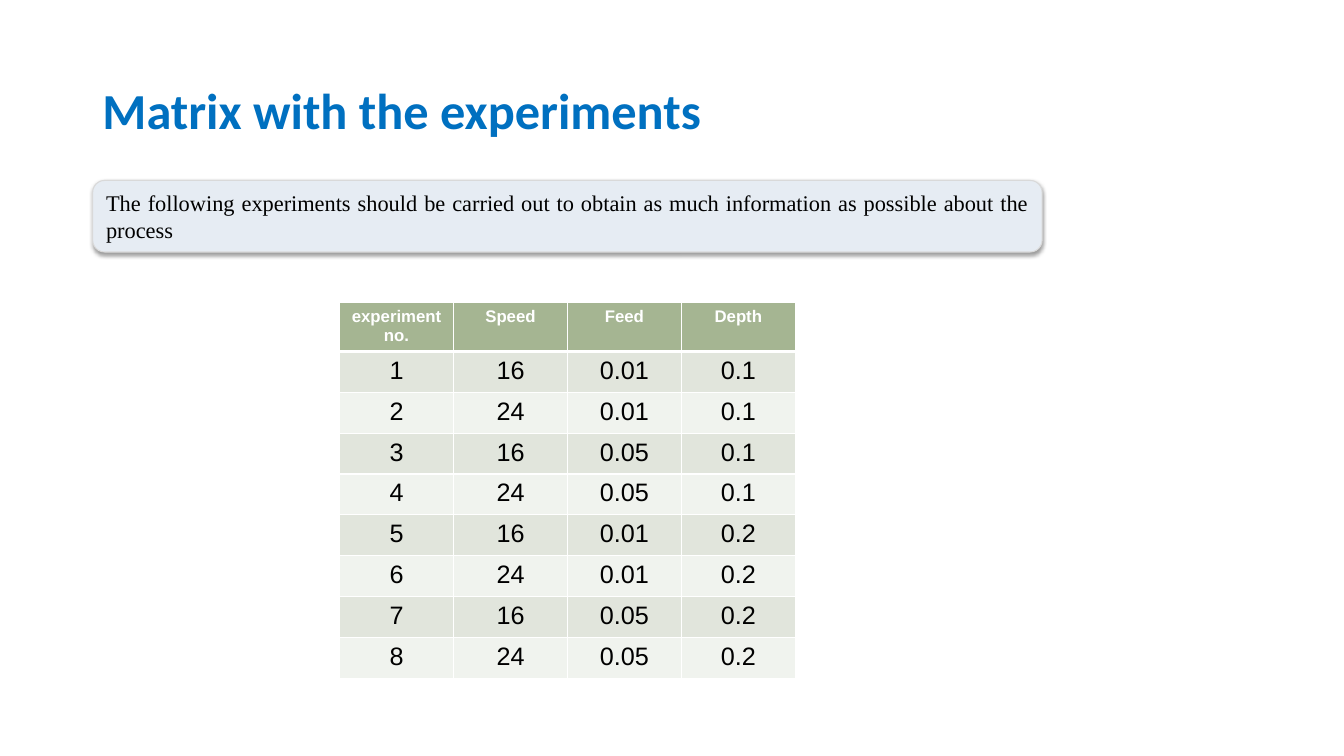
from itertools import product

from lxml.etree import SubElement
from pptx import Presentation
from pptx.dml.color import RGBColor
from pptx.enum.shapes import MSO_SHAPE
from pptx.enum.text import MSO_ANCHOR, PP_ALIGN
from pptx.oxml import parse_xml
from pptx.oxml.ns import nsdecls, qn
from pptx.util import Pt

TITLE = "Matrix with the experiments"
NOTE = ("The following experiments should be carried out to obtain as much "
        "information as possible about the process")
HEADERS = ["experiment no.", "Speed", "Feed", "Depth"]
SPEEDS = ["16", "24"]
FEEDS = ["0.01", "0.05"]
DEPTHS = ["0.1", "0.2"]

COLORS = {
    "title": "0070C0", "text": "000000", "white": "FFFFFF",
    "note": "E6ECF3", "note_line": "D9D9D9",
    "header": "A5B592", "odd": "E1E5DC", "even": "F0F3EE",
}
COLUMN_WIDTH = 81.4
HEADER_HEIGHT = 35
ROW_HEIGHT = 29.2


def color(name):
    """Return the named colour."""
    return RGBColor.from_string(COLORS[name])


def write(text_frame, text, size, font, fill="text", bold=False,
          align=PP_ALIGN.LEFT, anchor=MSO_ANCHOR.MIDDLE, line_spacing=None):
    """Put one formatted paragraph into a text frame."""
    text_frame.word_wrap = True
    text_frame.vertical_anchor = anchor
    paragraph = text_frame.paragraphs[0]
    paragraph.alignment = align
    paragraph.line_spacing = line_spacing
    run = paragraph.add_run()
    run.text = text
    run.font.size = Pt(size)
    run.font.name = font
    run.font.bold = bold
    run.font.color.rgb = color(fill)


def place(shape, left, top, width, height):
    """Move and size a shape, in points."""
    shape.left, shape.top = Pt(left), Pt(top)
    shape.width, shape.height = Pt(width), Pt(height)


def add_shadow(shape, blur, distance, opacity):
    """Give a shape a soft black shadow straight below it."""
    shape.shadow.inherit = False
    effects = shape._element.spPr.find(qn("a:effectLst"))
    shadow = SubElement(effects, qn("a:outerShdw"), blurRad=str(Pt(blur)),
                        dist=str(Pt(distance)), dir="5400000", rotWithShape="0")
    black = SubElement(shadow, qn("a:srgbClr"), val="000000")
    SubElement(black, qn("a:alpha"), val=str(opacity * 1000))


def set_borders(cell, bottom=1):
    """Draw white borders of 1 point, with a chosen bottom width."""
    properties = cell._tc.get_or_add_tcPr()
    widths = {"lnL": 1, "lnR": 1, "lnT": 1, "lnB": bottom}
    for index, (side, width) in enumerate(widths.items()):
        properties.insert(index, parse_xml(
            f'<a:{side} {nsdecls("a")} w="{Pt(width)}"><a:solidFill>'
            f'<a:srgbClr val="{COLORS["white"]}"/></a:solidFill></a:{side}>'))


def add_note(slide):
    """Add the rounded box with the introduction."""
    note = slide.shapes.add_shape(MSO_SHAPE.ROUNDED_RECTANGLE, 0, 0, 0, 0)
    place(note, 66.2, 128.9, 678.2, 51.1)
    note.fill.solid()
    note.fill.fore_color.rgb = color("note")
    note.line.color.rgb = color("note_line")
    note.line.width = Pt(0.75)
    add_shadow(note, blur=3.1, distance=1.6, opacity=38)
    write(note.text_frame, NOTE, 16, "Times New Roman", align=PP_ALIGN.JUSTIFY)


def add_matrix(slide):
    """Add the table with every combination of the three factors."""
    runs = product(DEPTHS, FEEDS, SPEEDS)
    rows = [HEADERS] + [[str(number), speed, feed, depth]
                        for number, (depth, feed, speed) in enumerate(runs, 1)]
    height = HEADER_HEIGHT + ROW_HEIGHT * (len(rows) - 1)
    table = slide.shapes.add_table(
        len(rows), len(HEADERS), Pt(242.6), Pt(216),
        Pt(COLUMN_WIDTH * len(HEADERS)), Pt(height)).table
    for column in table.columns:
        column.width = Pt(COLUMN_WIDTH)
    for index, values in enumerate(rows):
        is_header = index == 0
        table.rows[index].height = Pt(HEADER_HEIGHT if is_header else ROW_HEIGHT)
        fill = "header" if is_header else "odd" if index % 2 else "even"
        for cell, value in zip(table.rows[index].cells, values):
            cell.fill.solid()
            cell.fill.fore_color.rgb = color(fill)
            set_borders(cell, bottom=3 if index == 0 else 1)
            write(cell.text_frame, value, 12 if is_header else 18, "Arial",
                  fill="white" if is_header else "text", bold=is_header,
                  align=PP_ALIGN.CENTER, anchor=MSO_ANCHOR.TOP)


presentation = Presentation()
presentation.slide_width, presentation.slide_height = Pt(960), Pt(540)
slide = presentation.slides.add_slide(presentation.slide_layouts[5])
title = slide.shapes.title
place(title, 66, 28.8, 828, 104.4)
write(title.text_frame, TITLE, 36, "Calibri", fill="title", bold=True,
      line_spacing=0.9)
add_note(slide)
add_matrix(slide)
presentation.save("out.pptx")
